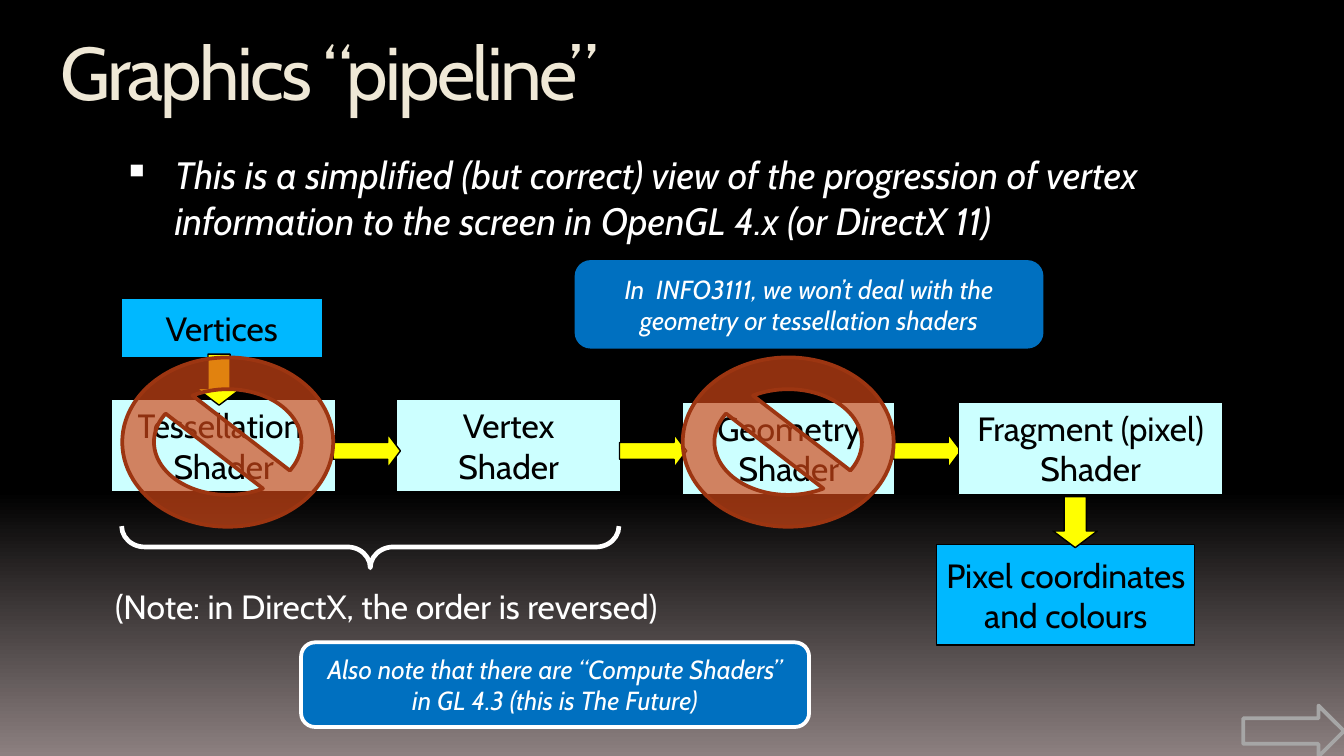
from copy import deepcopy

from lxml.etree import SubElement
from pptx import Presentation
from pptx.dml.color import RGBColor
from pptx.enum.shapes import MSO_SHAPE
from pptx.enum.text import MSO_ANCHOR, MSO_AUTO_SIZE, PP_ALIGN
from pptx.oxml.ns import qn
from pptx.util import Inches, Pt

FONT = "Cabin"
BLACK, WHITE, YELLOW = "000000", "FFFFFF", "FFFF00"
DATA, STAGE, CALLOUT = "00B8FF", "CCFFFF", "0070C0"

TITLE = "Graphics “pipeline”"
INTRO = ("This is a simplified (but correct) view of the progression of vertex "
         "information to the screen in OpenGL 4.x (or DirectX 11)")
NOTE = "(Note: in DirectX, the order is reversed)"

BOXES = [
    ("Vertices", (0.9, 2.22, 1.5, 0.44), DATA),
    ("Vertex\vShader", (2.95, 2.97, 1.67, 0.69), STAGE),
    ("Tessellation \vShader", (0.83, 2.97, 1.67, 0.69), STAGE),
    ("Geometry\vShader", (5.08, 2.99, 1.58, 0.69), STAGE),
    ("Pixel coordinates\nand colours", (6.97, 4.05, 1.92, 0.75), DATA),
]
FRAGMENT_BOX = ("Fragment (pixel)\vShader", (7.13, 2.99, 1.97, 0.69), STAGE)
DOWN_ARROWS = [(1.44, 2.66), (7.81, 3.72)]
RIGHT_ARROWS = [2.48, 4.61, 6.65]
SKIPPED_STAGES = [0.91, 5.08]
CALLOUTS = [
    ("In  INFO3111, we won’t deal with the geometry or tessellation shaders",
     (4.29, 1.95, 3.46, 0.63), CALLOUT),
    ("Also note that there are “Compute Shaders” in GL 4.3 (this is The Future)",
     (2.24, 4.78, 3.78, 0.63), WHITE),
]


def rgb(color):
    return RGBColor.from_string(color)


def write(sp, text, size, color, align=PP_ALIGN.CENTER, italic=None, wrap=True):
    tf = sp.text_frame
    tf.text = text
    tf.word_wrap = wrap
    for p in tf.paragraphs:
        p.alignment = align
        for r in p.runs:
            r.font.name = FONT
            r.font.size = Pt(size)
            r.font.italic = italic
            r.font.color.rgb = rgb(color)
    return tf


def add_shape(kind, box, fill, line, width, adjust=(), rotation=0):
    sp = slide.shapes.add_shape(kind, *map(Inches, box))
    sp.shadow.inherit = False
    sp.rotation = rotation
    if fill:
        sp.fill.solid()
        sp.fill.fore_color.rgb = rgb(fill)
    else:
        sp.fill.background()
    sp.line.color.rgb = rgb(line)
    sp.line.width = Pt(width)
    for i, value in enumerate(adjust):
        sp.adjustments[i] = value
    return sp


def add_box(text, box, fill):
    sp = add_shape(MSO_SHAPE.RECTANGLE, box, fill, BLACK, 0.75)
    tf = write(sp, text, 18, BLACK, wrap=False)
    tf.vertical_anchor = MSO_ANCHOR.MIDDLE


def add_arrow(box, rotation=0):
    add_shape(MSO_SHAPE.RIGHT_ARROW, box, YELLOW, BLACK, 0.75, (0.5, 0.375), rotation)


def add_text(box, *args, **kwargs):
    return write(slide.shapes.add_textbox(*map(Inches, box)), *args, **kwargs)


prs = Presentation()
prs.slide_width = Inches(10)
prs.slide_height = prs.slide_width * 9 // 16
slide = prs.slides.add_slide(prs.slide_layouts[6])

bg = slide.background.fill
bg.gradient()
bg.gradient_angle = 270
for stop, position, color in zip(bg.gradient_stops, (0.65, 1), (BLACK, "8C8080")):
    stop.position = position
    stop.color.rgb = rgb(color)
stops = slide.element.find(".//" + qn("a:gsLst"))
stops.insert(0, deepcopy(stops[0]))
stops[0].set("pos", "0")

tf = add_text((0.75, 1.08, 8.75, 0.71), INTRO, 20.4, WHITE, PP_ALIGN.LEFT, True)
p = tf.paragraphs[0]
p.space_before = Pt(7)
pPr = p._p.get_or_add_pPr()
pPr.set("marL", str(Inches(0.45)))
pPr.set("indent", str(Inches(-0.38)))
SubElement(pPr, qn("a:buSzPct"), val="95000")
SubElement(pPr, qn("a:buChar"), char="▪")

for box in BOXES:
    add_box(*box)
for x, y in DOWN_ARROWS:
    add_arrow((x, y, 0.38, 0.33), 90)
for x in RIGHT_ARROWS:
    add_arrow((x, 3.23, 0.5, 0.25))
add_shape(MSO_SHAPE.RIGHT_ARROW, (9.25, 5.25, 0.75, 0.38), None, "A6A6A6", 2)
add_box(*FRAGMENT_BOX)

add_shape(MSO_SHAPE.RIGHT_BRACE, (2.6, 2.22, 0.31, 3.7), None, WHITE, 2.5, (0.551, 0.5), 90)
tf = add_text((0.75, 4.31, 4.25, 0.4), NOTE, 18, WHITE)
tf.auto_size = MSO_AUTO_SIZE.SHAPE_TO_FIT_TEXT

for x in SKIPPED_STAGES:
    sp = add_shape(MSO_SHAPE.NO_SYMBOL, (x, 2.66, 1.57, 1.26), "D34817", "9C3511", 2)
    color = sp._element.spPr.find(qn("a:solidFill"))[0]
    SubElement(color, qn("a:alpha"), val="68000")

for text, box, line in CALLOUTS:
    sp = add_shape(MSO_SHAPE.ROUNDED_RECTANGLE, box, CALLOUT, line, 2)
    tf = write(sp, text, 14, WHITE, italic=True)
    tf.vertical_anchor = MSO_ANCHOR.MIDDLE

tf = add_text((0.35, 0.14, 8.5, 0.75), TITLE, 40, "EFE8D6", PP_ALIGN.LEFT)
tf.paragraphs[0].runs[0].font._element.set("spc", "-150")

prs.save("out.pptx")
